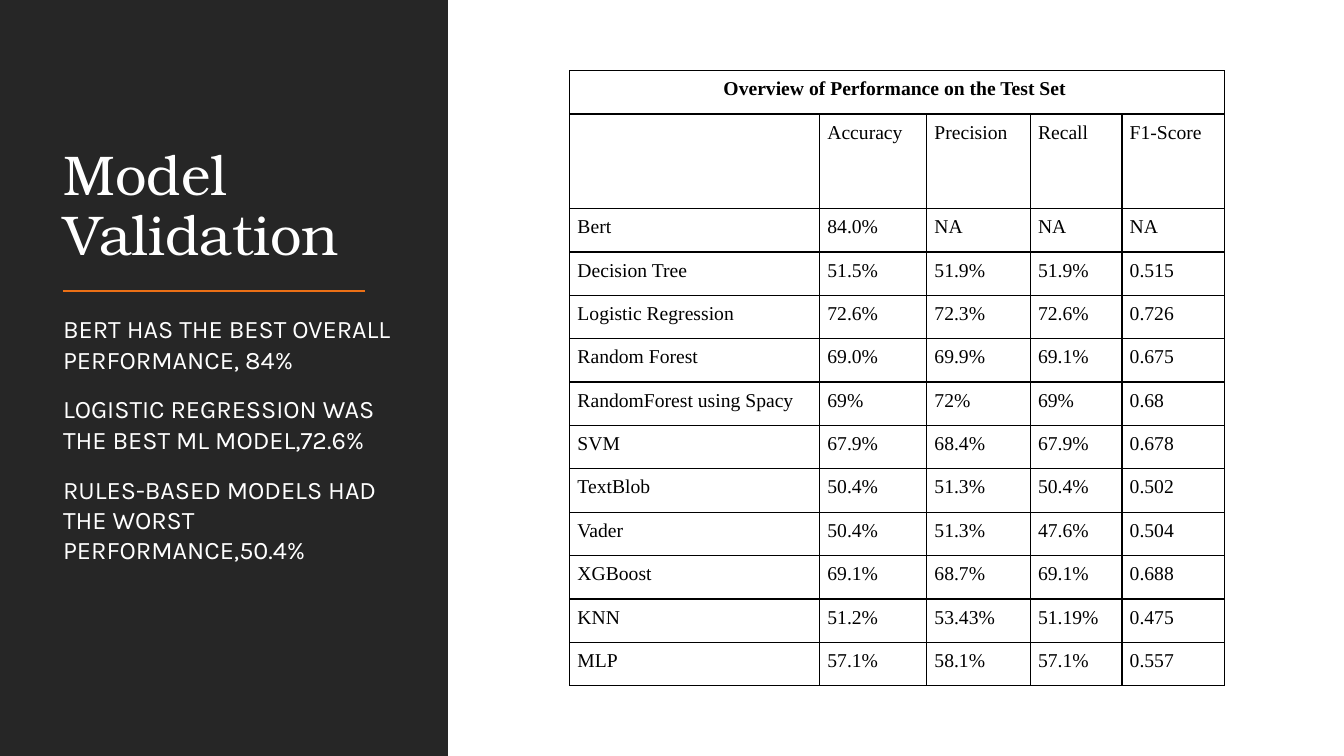
import pptx
import pptx.util
import pptx.dml.color
import pptx.enum.shapes
import pptx.enum.text
import pptx.oxml
import pptx.oxml.ns
import lxml.etree

Pt = pptx.util.Pt
ALIGN = pptx.enum.text.PP_ALIGN
ANCHOR = pptx.enum.text.MSO_ANCHOR
DARK, WHITE, BLACK, ORANGE = "262626", "FFFFFF", "000000", "EC7016"


def color(value):
    return pptx.dml.color.RGBColor.from_string(value)


def write(frame, text, size=14, font="Times New Roman", ink=BLACK, bold=False,
          align=ALIGN.LEFT, line=None, gap=0):
    """Fill a text frame, one paragraph per line of text."""
    frame.word_wrap = True
    for index, content in enumerate(text.split("\n")):
        para = frame.add_paragraph() if index else frame.paragraphs[0]
        para.alignment = align
        if line:
            para.line_spacing = line
        if index:
            para.space_before = Pt(gap)
        span = para.add_run()
        span.text = content
        span.font.size = Pt(size)
        span.font.name = font
        span.font.bold = bold
        span.font.color.rgb = color(ink)


deck = pptx.Presentation()
deck.slide_width, deck.slide_height = Pt(960), Pt(540)
page = deck.slides.add_slide(deck.slide_layouts[6])

# Dark side panel
panel = page.shapes.add_shape(pptx.enum.shapes.MSO_SHAPE.RECTANGLE,
                              Pt(0), Pt(0), Pt(320), Pt(540))
panel.shadow.inherit = False
panel.fill.solid()
panel.fill.fore_color.rgb = color(DARK)
panel.line.fill.background()

# Title
title = page.shapes.add_textbox(Pt(38.5), Pt(41), Pt(243), Pt(154)).text_frame
title.vertical_anchor = ANCHOR.BOTTOM
write(title, "Model Validation", size=40, font="TeX Gyre Bonum", ink=WHITE, line=0.9)

# Rule under the title
rule = page.shapes.add_connector(pptx.enum.shapes.MSO_CONNECTOR.STRAIGHT,
                                 Pt(45), Pt(208), Pt(261), Pt(208))
rule.line.color.rgb = color(ORANGE)
rule.line.width = Pt(1.5)
lxml.etree.SubElement(rule.element.spPr, pptx.oxml.ns.qn("a:effectLst"))

# Findings
findings = page.shapes.add_textbox(Pt(45), Pt(220.5), Pt(237), Pt(251)).text_frame
findings.margin_left = findings.margin_right = 0
write(findings, "BERT HAS THE BEST OVERALL PERFORMANCE, 84%\n"
                "LOGISTIC REGRESSION WAS THE BEST ML MODEL,72.6%\n"
                "RULES-BASED MODELS HAD THE WORST PERFORMANCE,50.4%",
      size=18, font="Karla", ink=WHITE, gap=14)

# Results table
results = [
    ["Overview of Performance on the Test Set ", "", "", "", ""],
    ["", "Accuracy", "Precision", "Recall", "F1-Score"],
    ["Bert", "84.0%", "NA", "NA", "NA"],
    ["Decision Tree", "51.5%", "51.9%", "51.9%", "0.515"],
    ["Logistic Regression", "72.6%", "72.3%", "72.6%", "0.726"],
    ["Random Forest", "69.0%", "69.9%", "69.1%", "0.675"],
    ["RandomForest using Spacy", "69%", "72%", "69%", "0.68"],
    ["SVM", "67.9%", "68.4%", "67.9%", "0.678"],
    ["TextBlob", "50.4%", "51.3%", "50.4%", "0.502"],
    ["Vader", "50.4%", "51.3%", "47.6%", "0.504"],
    ["XGBoost", "69.1%", "68.7%", "69.1%", "0.688"],
    ["KNN", "51.2%", "53.43%", "51.19%", "0.475"],
    ["MLP", "57.1%", "58.1%", "57.1%", "0.557"],
]
widths = [178.5, 76.5, 74, 65.5, 73.5]
heights = [31, 67.5] + [31] * (len(results) - 2)
table = page.shapes.add_table(len(results), len(widths), Pt(407), Pt(50.5),
                              Pt(sum(widths)), Pt(sum(heights))).table
table.first_row = table.horz_banding = False
for column, width in zip(table.columns, widths):
    column.width = Pt(width)
for row, height in zip(table.rows, heights):
    row.height = Pt(height)
table.cell(0, 0).merge(table.cell(0, len(widths) - 1))

for r, values in enumerate(results):
    for c, value in enumerate(values):
        cell = table.cell(r, c)
        cell.margin_left = cell.margin_right = Pt(5.5)
        cell.margin_top = cell.margin_bottom = Pt(5.5)
        # Borders go in ahead of the fill
        for side in "LRTB":
            cell._tc.get_or_add_tcPr().append(pptx.oxml.parse_xml(
                f'<a:ln{side} {pptx.oxml.ns.nsdecls("a")} w="{Pt(1)}"><a:solidFill>'
                f'<a:srgbClr val="{BLACK}"/></a:solidFill></a:ln{side}>'))
        cell.fill.background()
        if value:
            write(cell.text_frame, value, bold=r == 0,
                  align=ALIGN.LEFT if r else ALIGN.CENTER)

deck.save("out.pptx")
